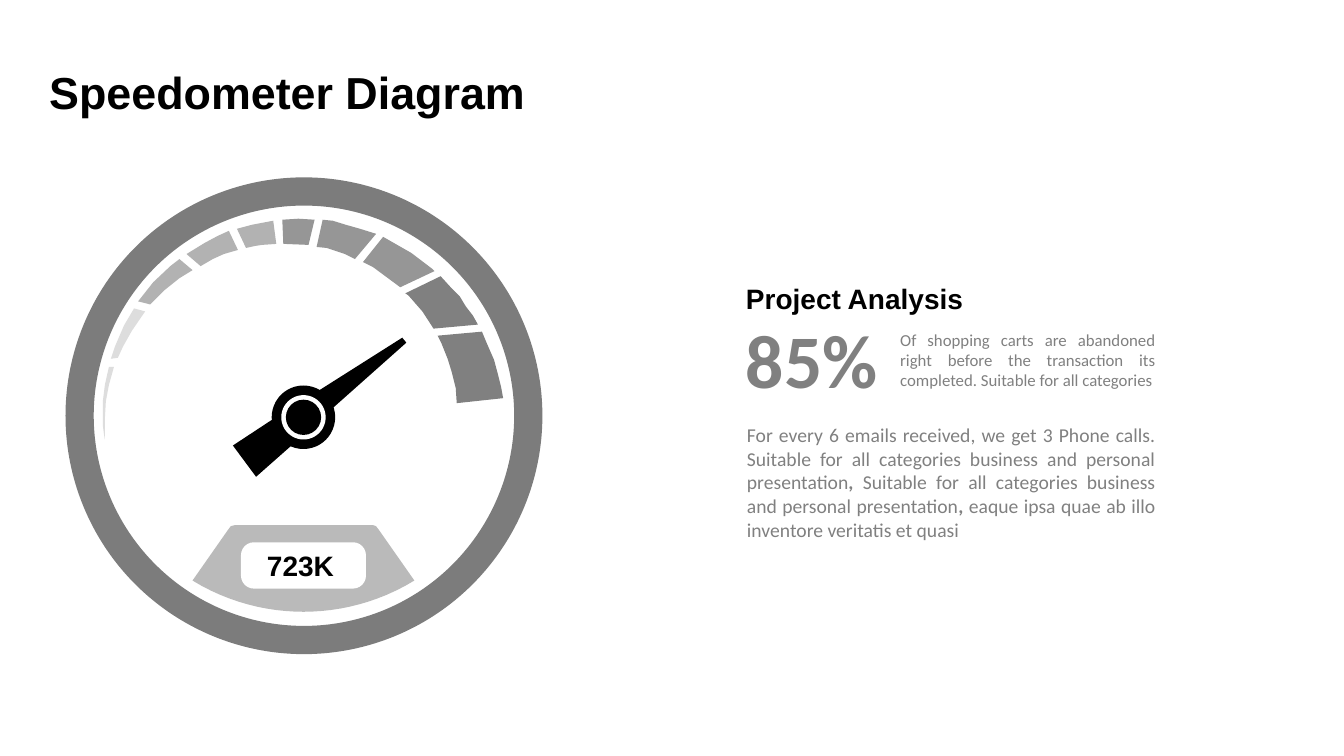
from dataclasses import dataclass
from math import sqrt

from pptx import Presentation
from pptx.dml.color import RGBColor
from pptx.enum.shapes import MSO_SHAPE
from pptx.enum.text import MSO_AUTO_SIZE, PP_ALIGN
from pptx.util import Inches, Pt

OVAL = MSO_SHAPE.OVAL
DONUT = MSO_SHAPE.DONUT
ROUND = MSO_SHAPE.ROUNDED_RECTANGLE
GROW = MSO_AUTO_SIZE.SHAPE_TO_FIT_TEXT
LEFT, JUST = PP_ALIGN.LEFT, PP_ALIGN.JUSTIFY


@dataclass(frozen=True)
class Theme:
    black: str = "000000"
    white: str = "FFFFFF"
    gray: str = "808080"
    rim: str = "7C7C7C"
    plate: str = "BABABA"
    pale: str = "DDDDDD"
    light: str = "B2B2B2"
    mid: str = "969696"
    head: str = "Arial"
    body: str = "Calibri"
    title: int = 32
    sub: int = 20
    big: int = 54
    text: int = 14
    small: int = 12


T = Theme()

MARKS = [
    (T.pale, [(.37, 2.46), (.37, 2.22), (.39, 2.06), (.43, 1.88), (.48, 1.88),
              (.43, 2.06), (.4, 2.22), (.39, 2.4), (.39, 2.6), (.38, 2.54)]),
    (T.pale, [(.45, 1.8), (.49, 1.68), (.58, 1.47), (.68, 1.3), (.79, 1.33),
              (.66, 1.52), (.57, 1.68), (.52, 1.79)]),
    (T.light, [(.72, 1.23), (.87, 1.04), (1.04, .88), (1.13, .81), (1.26, .92),
               (1.13, 1), (.98, 1.12), (.84, 1.26)]),
    (T.light, [(1.2, .76), (1.38, .65), (1.51, .58), (1.62, .53), (1.71, .72),
               (1.57, .76), (1.46, .81), (1.34, .88)]),
    (T.light, [(1.7, .51), (1.85, .47), (2.06, .43), (2.09, .66), (1.95, .67),
               (1.88, .68), (1.79, .7)]),
    (T.mid, [(2.15, .42), (2.31, .41), (2.47, .42), (2.41, .67), (2.16, .66)]),
    (T.mid, [(2.55, .42), (2.65, .43), (2.78, .47), (2.92, .51), (3.08, .56),
             (2.87, .81), (2.77, .76), (2.59, .7), (2.49, .69)]),
    (T.mid, [(3.15, .59), (3.43, .75), (3.64, .91), (3.66, .93), (3.32, 1.09),
             (3.05, .89), (2.95, .84)]),
    (T.gray, [(3.72, .98), (3.82, 1.09), (3.91, 1.18), (3.97, 1.28),
              (4.04, 1.37), (4.09, 1.46), (3.65, 1.5), (3.54, 1.33),
              (3.4, 1.17), (3.37, 1.15)]),
    (T.gray, [(3.69, 1.57), (4.13, 1.53), (4.18, 1.65), (4.25, 1.81),
              (4.29, 1.96), (4.32, 2.08), (4.34, 2.19), (3.88, 2.24),
              (3.87, 2.09), (3.83, 1.93), (3.79, 1.8), (3.73, 1.65)]),
]
NEEDLE = [(3.34, 1.59), (3.38, 1.64), (2.66, 2.28), (2.23, 2.67),
          (1.89, 2.97), (1.66, 2.66), (2.04, 2.41), (2.52, 2.11)]
PLATE = [(1.26, 4), (1.61, 3.5), (1.64, 3.46), (1.68, 3.45),
         (3.05, 3.45), (3.08, 3.46), (3.11, 3.5), (3.46, 4)]


def paint(shape, color):
    shape.shadow.inherit = False
    shape.fill.solid()
    shape.fill.fore_color.rgb = RGBColor.from_string(color)
    shape.line.fill.background()
    return shape


def outline(slide, box, points, color):
    spots = [(Inches(box[0] + x), Inches(box[1] + y)) for x, y in points]
    pen = slide.shapes.build_freeform(*spots[0], scale=1.0)
    pen.add_line_segments(spots[1:], close=True)
    paint(pen.convert_to_shape(), color)


def preset(slide, kind, box, color):
    return paint(slide.shapes.add_shape(kind, *map(Inches, box)), color)


def write(slide, box, runs, wrap=True, align=LEFT, **style):
    frame = slide.shapes.add_textbox(*map(Inches, box)).text_frame
    frame.word_wrap = wrap
    frame.auto_size = GROW
    para = frame.paragraphs[0]
    para.alignment = align
    look = {"name": T.body, "size": T.text, "color": T.gray, "bold": False}
    for words, extra in runs:
        run = para.add_run()
        run.text = words
        form = {**look, **style, **extra}
        run.font.color.rgb = RGBColor.from_string(form.pop("color"))
        form["size"] = Pt(form["size"])
        for key, value in form.items():
            setattr(run.font, key, value)


def heading(slide, box, words, size, wrap=False):
    write(slide, box, [(words, {})], wrap, name=T.head, size=size,
          color=T.black, bold=True)


def gauge(slide, box):
    left, top, width, _ = box
    for color, points in MARKS:
        outline(slide, box, points, color)
    rim = preset(slide, DONUT, box, T.rim)
    rim.adjustments[0] = 0.28 / width

    outline(slide, box, NEEDLE, T.black)
    for size, color in ((.63, T.black), (.44, T.white), (.35, T.black)):
        spot = (left + 2.36 - size / 2, top + 2.38 - size / 2, size, size)
        preset(slide, OVAL, spot, color)

    mid, radius, steps = 2.36, 2.11, 24
    arc = []
    for i in range(1, steps):
        x = 1.1 - 2.2 * i / steps
        arc.append((mid + x, 2.2 + sqrt(radius ** 2 - x ** 2)))
    outline(slide, box, PLATE + arc, T.plate)
    label = preset(slide, ROUND, (left + 1.74, top + 3.62, 1.24, .46), T.white)
    label.adjustments[0] = 0.28
    heading(slide, (left + 1.9, top + 3.63, .87, .44), "723K", T.sub)


def report(slide, box):
    left, top, width, _ = box
    heading(slide, (left, top, 2.37, .44), "Project Analysis", T.sub)
    write(slide, (left, top + .32, 1.52, 1.01), [("85%", {})], False,
          size=T.big, bold=True)
    write(slide, (left + 1.53, top + .48, width - 1.53, .71), [
        ("Of shopping carts are abandoned right before the transaction its "
         "completed. Suitable for all categories", {})],
        align=JUST, size=T.small)
    bold = {"bold": True}
    write(slide, (left + .01, top + 1.41, width - .01, 1.51), [
        ("For every 6 emails received, we get 3 Phone calls. Suitable for all "
         "categories business and personal presentation", {}),
        (", ", bold),
        ("Suitable for all categories business and personal presentation", {}),
        (",", bold),
        (" eaque ipsa quae ab illo inventore veritatis et quasi", {})],
        align=JUST)


def main():
    deck = Presentation()
    deck.slide_width, deck.slide_height = Inches(13.33), Inches(7.5)
    slide = deck.slides.add_slide(deck.slide_layouts[6])
    heading(slide, (.39, .59, 6.16, .64), "Speedometer Diagram", T.title, True)
    gauge(slide, (.65, 1.76, 4.73, 4.73))
    report(slide, (7.3, 2.74, 4.26, 2.92))
    deck.save("out.pptx")


if __name__ == "__main__":
    main()
